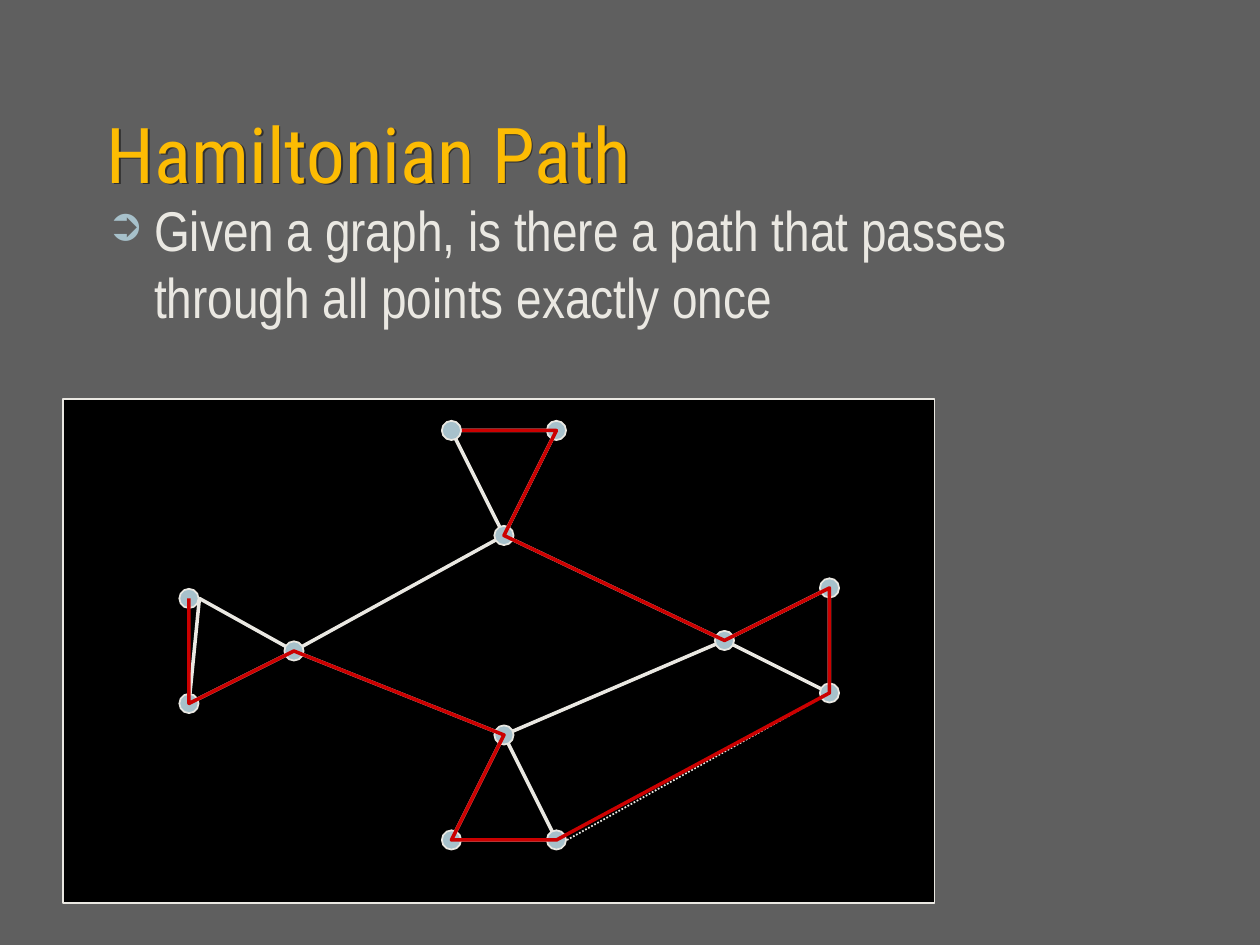
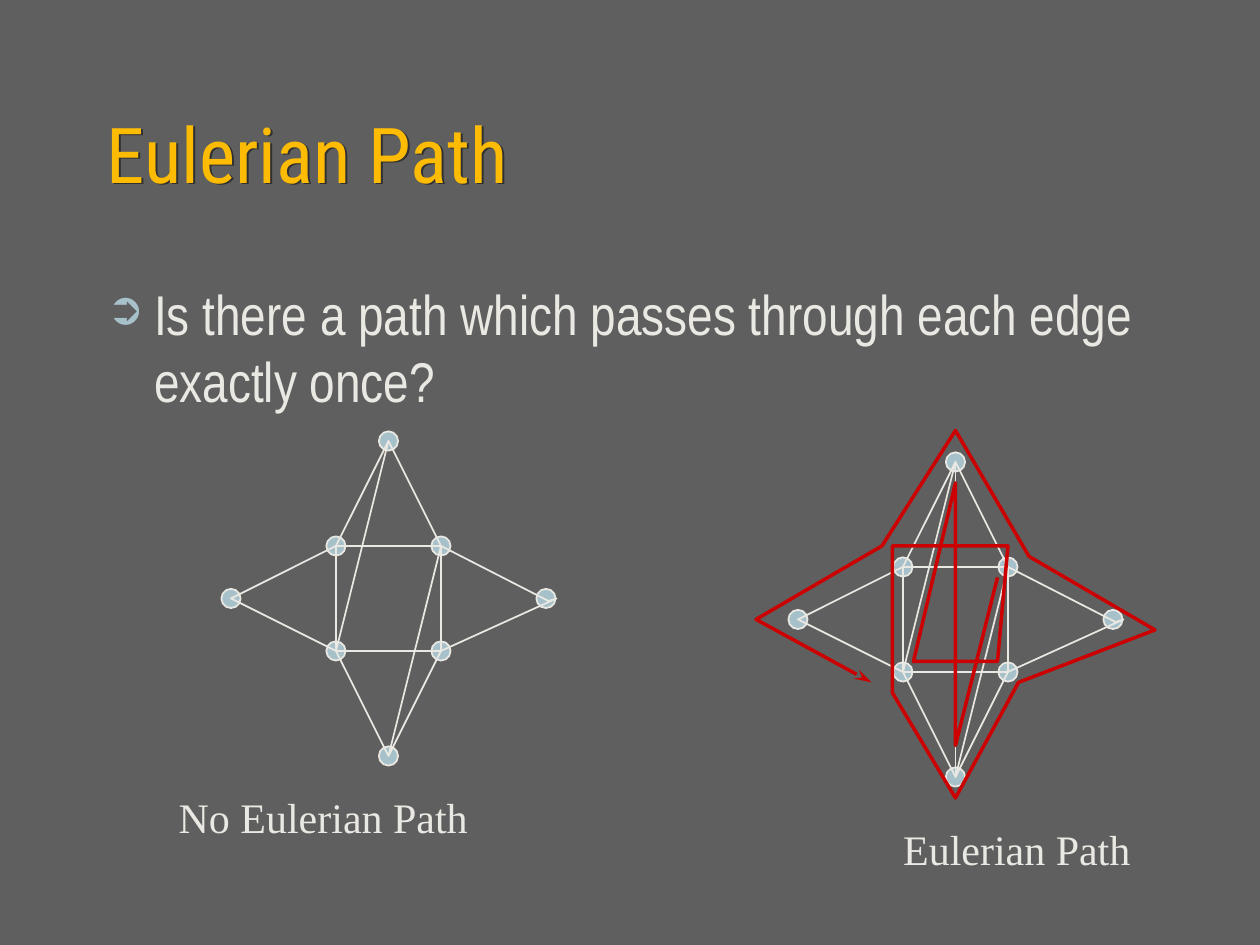
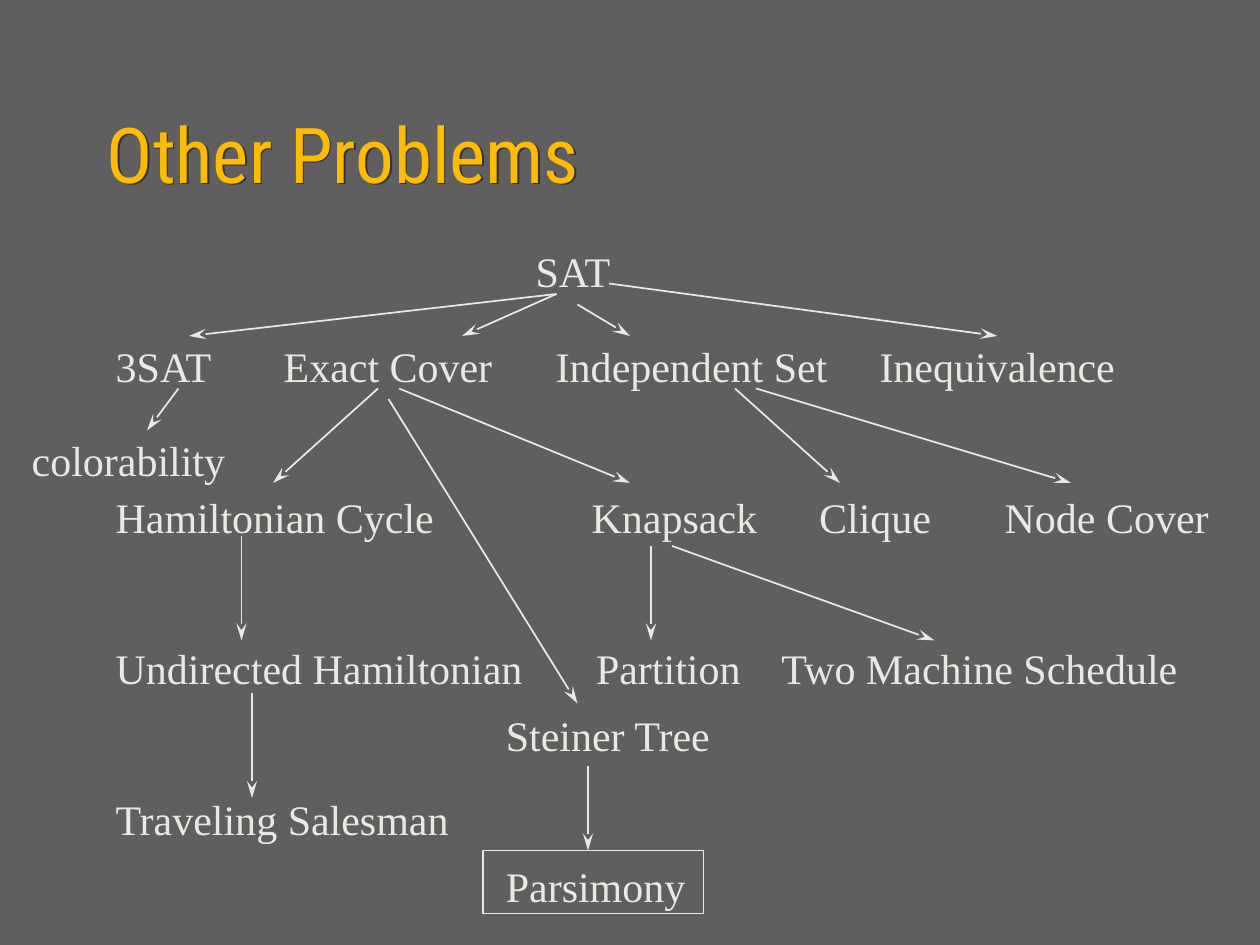
"""Builds three slides on Hamiltonian paths, Eulerian paths and related problems."""
from lxml.etree import SubElement
from pptx import Presentation
from pptx.dml.color import RGBColor
from pptx.enum.dml import MSO_LINE
from pptx.enum.shapes import MSO_CONNECTOR, MSO_SHAPE
from pptx.enum.text import MSO_ANCHOR, MSO_AUTO_SIZE
from pptx.oxml.ns import qn
from pptx.util import Pt

GRAY = RGBColor(0x5F, 0x5F, 0x5F)
BLACK = RGBColor(0x00, 0x00, 0x00)
GOLD = RGBColor(0xFD, 0xBC, 0x03)
CREAM = RGBColor(0xEA, 0xE8, 0xE2)
BLUE = RGBColor(0xA7, 0xC1, 0xCB)
RED = RGBColor(0xCC, 0x00, 0x00)
SHADOW = RGBColor(0x30, 0x30, 0x30)

TITLE_FONT = "Roboto Condensed"
BODY_FONT = "Arial Narrow"
LABEL_FONT = "Times New Roman"

GRID = 6
NODE_SIZE = 11
ROW_TOP = 191
ROW_STEP = 86.25

HAMILTON_NODES = [
    (18, 57), (18, 67), (28, 62), (53, 41), (43, 41), (48, 51),
    (53, 80), (43, 80), (48, 70), (79, 66), (79, 56), (69, 61),
]
HAMILTON_EDGES = [
    (18, 67), (19, 57), (28, 62), (48, 51), (43, 41), (53, 41), (48, 51), (69, 61), (79, 56),
    (79, 66), (69, 61), (48, 70), (53, 80), (43, 80), (48, 70), (28, 62), (18, 67),
]
HAMILTON_PATH = [
    (44, 41), (53, 41), (48, 51), (69, 61), (79, 56), (79, 66),
    (53, 80), (43, 80), (48, 70), (28, 62), (18, 67), (18, 57),
]

STAR_NODES = [(0, -15), (5, -5), (15, 0), (-5, -5), (-15, 0), (5, 5), (-5, 5), (0, 15)]
STAR_OUTLINE = [
    (0, -15), (-5, -5), (-15, 0), (-5, 5), (0, 15),
    (5, 5), (16, 0), (15.25, 0.25), (5, -5), (0, -15),
]
STAR_SQUARE = [(5, -5), (-5, -5), (-5, 5), (5, 5), (5, -5)]
STAR_DIAGONALS = [((0, -15), (-5, 5)), ((5, -5), (0, 15))]
STAR_AXIS = ((0, -15), (0, 15))
EULER_PATH = [
    (95, 55), (91, 71), (91, 46), (87, 63), (95, 63), (96, 52), (85, 52), (85, 66),
    (91, 76), (97, 65), (110, 60), (98, 53), (91, 41), (84, 52), (72, 59), (83, 65),
]

PROBLEM_ROWS = [
    [("3SAT", 59, 76), ("Exact Cover", 155, 140), ("Independent Set", 310.5, 176),
     ("Inequivalence", 495.5, 156)],
    [("Hamiltonian Cycle", 59, 203), ("Knapsack", 331, 116), ("Clique", 461, 85),
     ("Node Cover", 567, 138)],
    [("Undirected Hamiltonian", 59, 253), ("Partition", 333.5, 104),
     ("Two Machine Schedule", 439.5, 247)],
    [("Traveling Salesman", 59, 211)],
]
REDUCTIONS = [
    ((53, 28), (18, 32)), ((53, 28), (44, 32)), ((55, 29), (60, 32)), ((58, 27), (95, 32)),
    ((36, 37), (26, 46)), ((38, 37), (60, 46)), ((70, 37), (80, 46)), ((72, 37), (102, 46)),
    ((23, 51), (23, 61)), ((24, 66), (24, 76)), ((62, 52), (62, 61)), ((64, 52), (89, 61)),
    ((17, 37), (14, 41)), ((37, 38), (55, 67)), ((56, 73), (56, 81)),
]


def on_grid(point):
    """Convert a grid point to lengths."""
    return tuple(Pt(GRID * value) for value in point)


def shifted(points, center):
    """Move points so that their origin lies at center."""
    return [(x + center[0], y + center[1]) for x, y in points]


def style_line(line, color, width, arrow=False):
    """Set colour and width of a line, with an optional arrowhead at its end."""
    line.color.rgb = color
    line.width = Pt(width)
    if arrow:
        SubElement(line._get_or_add_ln(), qn("a:tailEnd"), type="stealth", w="med", len="lg")


def add_text(slide, text, box, font_name, size, color):
    """Add a text box with one paragraph and return it."""
    shape = slide.shapes.add_textbox(*(Pt(value) for value in box))
    text_frame = shape.text_frame
    text_frame.text = text
    text_frame.word_wrap = True
    font = text_frame.paragraphs[0].runs[0].font
    font.name = font_name
    font.size = Pt(size)
    font.color.rgb = color
    return shape


def add_title(slide, text):
    """Add the slide title with its shadow."""
    shape = add_text(slide, text, (54, 42, 612, 90), TITLE_FONT, 44, GOLD)
    shape.text_frame.vertical_anchor = MSO_ANCHOR.MIDDLE
    effects = SubElement(shape._element.spPr, qn("a:effectLst"))
    shadow = SubElement(effects, qn("a:outerShdw"), dist=str(Pt(1.5)), dir="2700000")
    SubElement(shadow, qn("a:srgbClr"), val=str(SHADOW))


def add_bullet(slide, text, top, width):
    """Add the bulleted question of a slide."""
    shape = add_text(slide, text, (54, top, width, 324), BODY_FONT, 32, CREAM)
    paragraph = shape.text_frame.paragraphs[0]
    paragraph.space_before = Pt(8)
    properties = paragraph._p.get_or_add_pPr()
    properties.set("marL", str(Pt(27)))
    properties.set("indent", str(-Pt(27)))
    color = SubElement(properties, qn("a:buClr"))
    SubElement(color, qn("a:srgbClr"), val=str(BLUE))
    SubElement(properties, qn("a:buSzPct"), val="80000")
    SubElement(properties, qn("a:buFont"), typeface=BODY_FONT)
    SubElement(properties, qn("a:buChar"), char="➲")


def add_label(slide, text, left, top, width):
    """Add a one-line serif label."""
    text_frame = add_text(slide, text, (left, top, width, 36), LABEL_FONT, 24, CREAM).text_frame
    text_frame.word_wrap = False
    text_frame.auto_size = MSO_AUTO_SIZE.SHAPE_TO_FIT_TEXT


def add_panel(slide, corner, size, fill=None):
    """Add a thinly outlined rectangle given on the grid."""
    shape = slide.shapes.add_shape(MSO_SHAPE.RECTANGLE, *on_grid(corner), *on_grid(size))
    shape.shadow.inherit = False
    if fill is None:
        shape.fill.background()
    else:
        shape.fill.solid()
        shape.fill.fore_color.rgb = fill
    style_line(shape.line, CREAM, 1)


def add_nodes(slide, points):
    """Add a round graph node centred on each point."""
    size = Pt(NODE_SIZE)
    for x, y in map(on_grid, points):
        shape = slide.shapes.add_shape(
            MSO_SHAPE.OVAL, x - size // 2, y - size // 2, size, size)
        shape.shadow.inherit = False
        shape.fill.solid()
        shape.fill.fore_color.rgb = BLUE
        style_line(shape.line, CREAM, 1)


def add_route(slide, points, color, width, arrow=False):
    """Add an open outline through the points."""
    start, *others = map(on_grid, points)
    builder = slide.shapes.build_freeform(*start)
    builder.add_line_segments(others, close=False)
    shape = builder.convert_to_shape()
    shape.shadow.inherit = False
    shape.fill.background()
    style_line(shape.line, color, width, arrow)


def add_edge(slide, start, end, arrow=False, dash=None):
    """Add a straight line between two points."""
    connector = slide.shapes.add_connector(
        MSO_CONNECTOR.STRAIGHT, *on_grid(start), *on_grid(end))
    if dash is not None:
        connector.line.dash_style = dash
    style_line(connector.line, CREAM, 1, arrow)
    SubElement(connector._element.spPr, qn("a:effectLst"))


def add_star_graph(slide, center, diagonals):
    """Add a star graph around center with the given inner edges."""
    add_nodes(slide, shifted(STAR_NODES, center))
    for outline in (STAR_OUTLINE, STAR_SQUARE):
        add_route(slide, shifted(outline, center), CREAM, 1)
    for diagonal in diagonals:
        add_edge(slide, *shifted(diagonal, center))


def add_slide(presentation):
    """Add a blank slide."""
    return presentation.slides.add_slide(presentation.slide_layouts[6])


def build_hamiltonian(slide):
    """Fill the slide on Hamiltonian paths."""
    add_panel(slide, (6, 38), (83, 48), BLACK)
    add_route(slide, HAMILTON_EDGES, CREAM, 2)
    add_title(slide, "Hamiltonian Path")
    add_bullet(slide, "Given a graph, is there a path that passes through all points exactly once",
               108, 618)
    add_nodes(slide, HAMILTON_NODES)
    add_edge(slide, (54, 80), (79, 66), dash=MSO_LINE.ROUND_DOT)
    add_route(slide, HAMILTON_PATH, RED, 2)


def build_eulerian(slide):
    """Fill the slide on Eulerian paths."""
    add_title(slide, "Eulerian Path")
    add_bullet(slide, "Is there a path which passes through each edge exactly once?", 156, 612)
    add_star_graph(slide, (91, 59), [*STAR_DIAGONALS, STAR_AXIS])
    add_star_graph(slide, (37, 57), STAR_DIAGONALS)
    add_label(slide, "No Eulerian Path", 95, 448.5, 186)
    add_label(slide, "Eulerian Path", 509, 467, 151)
    add_route(slide, EULER_PATH, RED, 2, arrow=True)


def build_problems(slide):
    """Fill the slide with the tree of reductions."""
    add_title(slide, "Other Problems")
    add_label(slide, "SAT", 299, 137, 66)
    for index, row in enumerate(PROBLEM_ROWS):
        for text, left, width in row:
            add_label(slide, text, left, ROW_TOP + index * ROW_STEP, width)
    add_label(slide, "colorability", 11, 245, 131)
    for index, (text, width) in enumerate([("Steiner Tree", 138), ("Parsimony", 124)]):
        add_label(slide, text, 282, 402 + index * ROW_STEP, width)
    for start, end in REDUCTIONS:
        add_edge(slide, start, end, arrow=True)
    add_panel(slide, (46, 81), (21, 6))


def main():
    """Build and save the presentation."""
    presentation = Presentation()
    presentation.slide_width = Pt(720)
    presentation.slide_height = Pt(540)
    background = presentation.slide_master.background.fill
    background.solid()
    background.fore_color.rgb = GRAY
    for build in (build_hamiltonian, build_eulerian, build_problems):
        build(add_slide(presentation))
    presentation.save("out.pptx")


if __name__ == "__main__":
    main()
